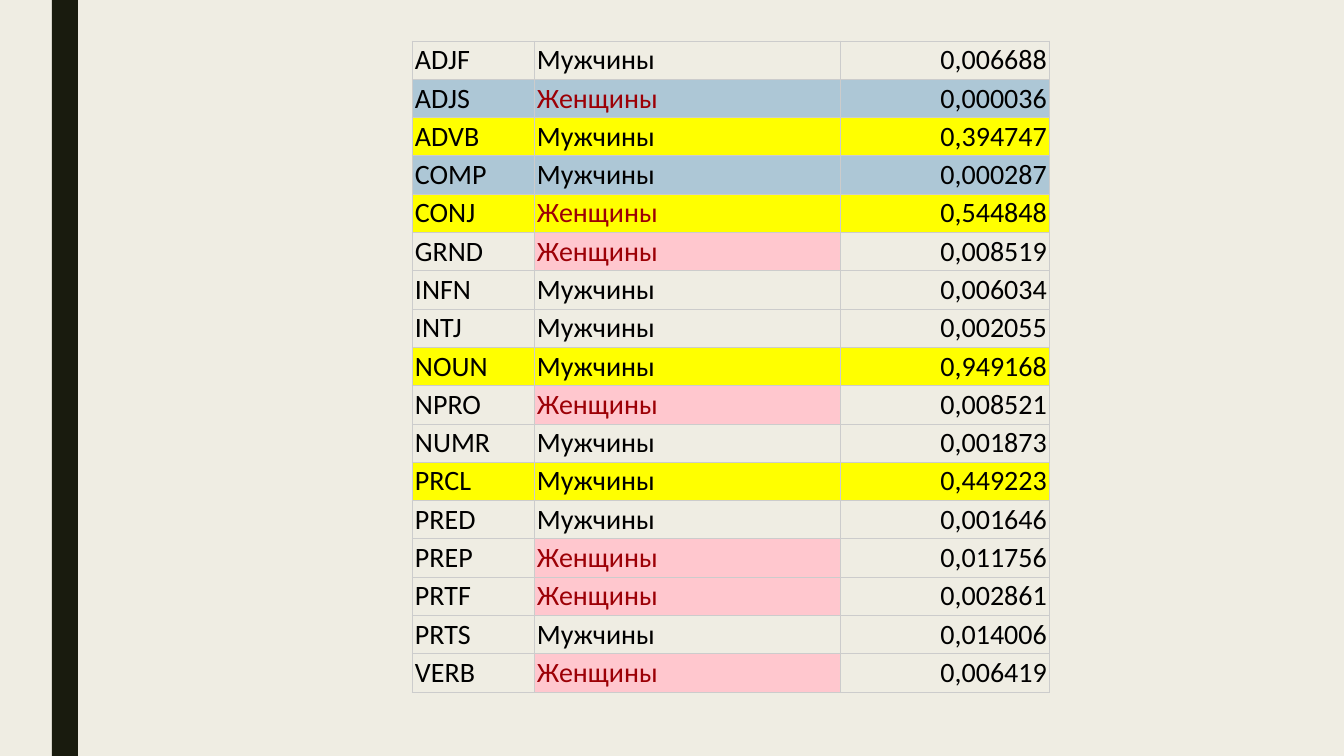
from lxml import etree
from pptx import Presentation
from pptx import util as u
from pptx.dml.color import RGBColor
from pptx.enum import shapes, text
from pptx.oxml import ns

MEN, WOMEN = "Мужчины", "Женщины"
ROWS = [
    ("ADJF", MEN, "0,006688"),
    ("ADJS", WOMEN, "0,000036"),
    ("ADVB", MEN, "0,394747"),
    ("COMP", MEN, "0,000287"),
    ("CONJ", WOMEN, "0,544848"),
    ("GRND", WOMEN, "0,008519"),
    ("INFN", MEN, "0,006034"),
    ("INTJ", MEN, "0,002055"),
    ("NOUN", MEN, "0,949168"),
    ("NPRO", WOMEN, "0,008521"),
    ("NUMR", MEN, "0,001873"),
    ("PRCL", MEN, "0,449223"),
    ("PRED", MEN, "0,001646"),
    ("PREP", WOMEN, "0,011756"),
    ("PRTF", WOMEN, "0,002861"),
    ("PRTS", MEN, "0,014006"),
    ("VERB", WOMEN, "0,006419"),
]

SLIDE_SIZE = (1344, 756)
STRIPE = (52, 0, 26, 756)
TABLE_LEFT, TABLE_TOP = 412, 41
COLUMN_WIDTHS = (122, 306, 210)
ROW_HEIGHT = 38
INSET_X, INSET_Y = 3, 2
BACKGROUND, STRIPE_COLOR, GRID = "EFEDE3", "191B0E", "CCCCCC"
BLACK, DARK_RED = "000000", "9C0006"
YELLOW, BLUE, PINK = "FFFF00", "ADC7D6", "FFC7CE"
NOT_SIGNIFICANT, HIGHLY_SIGNIFICANT = 0.05, 0.001


def px(length):
    """Turn pixels into EMU."""
    return u.Emu(round(length * u.Inches(1) / 100.8))


def paint(fill, color):
    """Give a fill one solid colour."""
    fill.solid()
    fill.fore_color.rgb = RGBColor.from_string(color)


def cell_fill(column, gender, p_value):
    """Choose a cell colour from the p-value and the gender, or None."""
    p = float(p_value.replace(",", "."))
    if p > NOT_SIGNIFICANT:
        return YELLOW
    if p < HIGHLY_SIGNIFICANT:
        return BLUE
    return PINK if column == 1 and gender == WOMEN else None


def add_borders(cell):
    """Draw thin grid lines on all four sides of a cell."""
    properties = cell._tc.get_or_add_tcPr()
    for side in ("lnL", "lnR", "lnT", "lnB"):
        line = etree.SubElement(properties, ns.qn(f"a:{side}"), w=str(u.Pt(0.75)))
        solid = etree.SubElement(line, ns.qn("a:solidFill"))
        etree.SubElement(solid, ns.qn("a:srgbClr"), val=GRID)


def format_cell(cell, content, color, fill, align):
    """Write one cell with its text style, borders and fill."""
    cell.margin_left = cell.margin_right = px(INSET_X)
    cell.margin_top = cell.margin_bottom = px(INSET_Y)
    cell.vertical_anchor = text.MSO_ANCHOR.BOTTOM
    cell.text_frame.text = content
    paragraph = cell.text_frame.paragraphs[0]
    paragraph.alignment = align
    font = paragraph.runs[0].font
    font.name, font.size = "Calibri", u.Pt(20)
    font.color.rgb = RGBColor.from_string(color)
    add_borders(cell)
    if fill:
        paint(cell.fill, fill)
    else:
        cell.fill.background()


def add_stripe(slide):
    """Add the dark vertical stripe at the left."""
    stripe = slide.shapes.add_shape(shapes.MSO_SHAPE.RECTANGLE, *map(px, STRIPE))
    stripe.shadow.inherit = False
    paint(stripe.fill, STRIPE_COLOR)
    stripe.line.fill.background()


def add_results(slide):
    """Add the table of parts of speech, genders and p-values."""
    frame = slide.shapes.add_table(
        len(ROWS), len(COLUMN_WIDTHS), px(TABLE_LEFT), px(TABLE_TOP),
        px(sum(COLUMN_WIDTHS)), px(ROW_HEIGHT * len(ROWS)))
    table = frame.table
    table.first_row = table.horz_banding = False
    for column, width in zip(table.columns, COLUMN_WIDTHS):
        column.width = px(width)
    for row_index, row in enumerate(ROWS):
        table.rows[row_index].height = px(ROW_HEIGHT)
        _, gender, p_value = row
        for column, content in enumerate(row):
            format_cell(
                table.cell(row_index, column), content,
                DARK_RED if content == WOMEN else BLACK,
                cell_fill(column, gender, p_value),
                text.PP_ALIGN.RIGHT if column == 2 else text.PP_ALIGN.LEFT)


presentation = Presentation()
presentation.slide_width, presentation.slide_height = map(px, SLIDE_SIZE)
slide = presentation.slides.add_slide(presentation.slide_layouts[6])
paint(slide.background.fill, BACKGROUND)
add_stripe(slide)
add_results(slide)
presentation.save("out.pptx")
